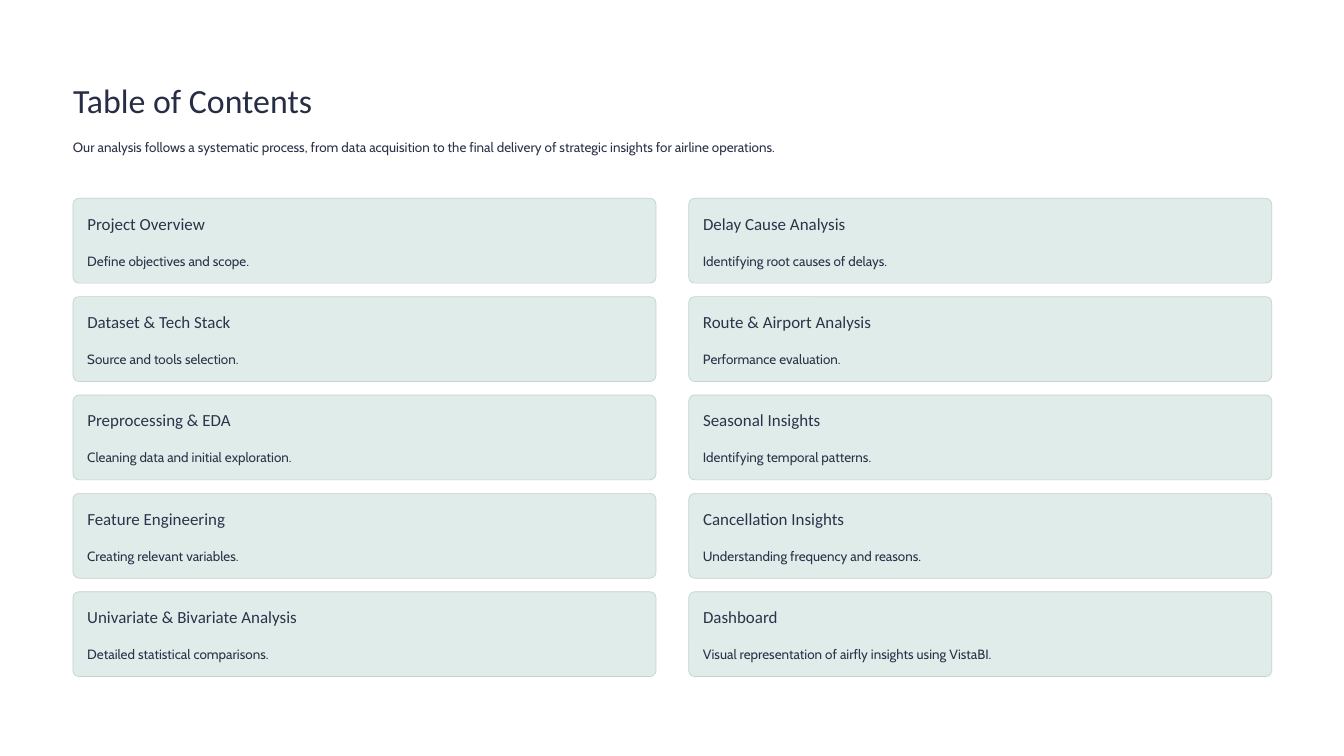
import dataclasses

import pptx
import pptx.dml.color
import pptx.enum.shapes
import pptx.enum.text
import pptx.util

Pt = pptx.util.Pt


@dataclasses.dataclass(frozen=True)
class Theme:
    background: str = "FFFFFF"
    title_ink: str = "272D45"
    ink: str = "2C3249"
    card_fill: str = "DFECE9"
    card_border: str = "C5D2CF"
    heading_font: str = "Calibri"
    body_font: str = "Cabin"
    title_size: float = 29
    heading_size: float = 14.5
    body_size: float = 11.5
    title_leading: float = 36
    heading_leading: float = 18
    body_leading: float = 18.5


LEFT = 62.6
GRID_TOP = 170
CARD_WIDTH, CARD_HEIGHT = 499.7, 72.7
COLUMN_PITCH, ROW_PITCH = 527.8, 84.3
CARD_PADDING = 12.2
DESCRIPTION_OFFSET = 41.9
HEADING_WIDTH = 145.5

# Each column lists heading, description and heading width.
COLUMNS = [
    [
        ("Project Overview", "Define objectives and scope.", HEADING_WIDTH),
        ("Dataset & Tech Stack", "Source and tools selection.", HEADING_WIDTH),
        ("Preprocessing & EDA", "Cleaning data and initial exploration.", HEADING_WIDTH),
        ("Feature Engineering", "Creating relevant variables.", HEADING_WIDTH),
        ("Univariate & Bivariate Analysis", "Detailed statistical comparisons.", 196),
    ],
    [
        ("Delay Cause Analysis", "Identifying root causes of delays.", HEADING_WIDTH),
        ("Route & Airport Analysis", "Performance evaluation.", 155.5),
        ("Seasonal Insights", "Identifying temporal patterns.", HEADING_WIDTH),
        ("Cancellation Insights", "Understanding frequency and reasons.", HEADING_WIDTH),
        ("Dashboard", "Visual representation of airfly insights using VistaBI.", HEADING_WIDTH),
    ],
]


def rgb(value):
    return pptx.dml.color.RGBColor.from_string(value)


def write_text(frame, text, *, font, size, color, leading):
    frame.margin_left = frame.margin_right = frame.margin_top = frame.margin_bottom = 0
    frame.word_wrap = False
    frame.auto_size = pptx.enum.text.MSO_AUTO_SIZE.NONE
    frame.vertical_anchor = pptx.enum.text.MSO_ANCHOR.TOP
    paragraph = frame.paragraphs[0]
    paragraph.alignment = pptx.enum.text.PP_ALIGN.LEFT
    paragraph.line_spacing = Pt(leading)
    paragraph.space_before = Pt(0)
    run = paragraph.add_run()
    run.text = text
    run.font.name = font
    run.font.size = Pt(size)
    run.font.color.rgb = rgb(color)


class ContentsSlide:
    def __init__(self, presentation, theme):
        self.theme = theme
        self.slide = presentation.slides.add_slide(presentation.slide_layouts[5])
        fill = self.slide.background.fill
        fill.solid()
        fill.fore_color.rgb = rgb(theme.background)

    def title(self, text, left, top, width, height):
        title = self.slide.shapes.title
        title.left, title.top = Pt(left), Pt(top)
        title.width, title.height = Pt(width), Pt(height)
        write_text(title.text_frame, text, font=self.theme.heading_font,
                   size=self.theme.title_size, color=self.theme.title_ink,
                   leading=self.theme.title_leading)

    def text_box(self, text, left, top, width, height, **style):
        box = self.slide.shapes.add_textbox(Pt(left), Pt(top), Pt(width), Pt(height))
        write_text(box.text_frame, text, color=self.theme.ink, **style)

    def heading(self, text, left, top, width):
        self.text_box(text, left, top, width, 18, font=self.theme.heading_font,
                      size=self.theme.heading_size, leading=self.theme.heading_leading)

    def body(self, text, left, top, width):
        self.text_box(text, left, top, width, 18.5, font=self.theme.body_font,
                      size=self.theme.body_size, leading=self.theme.body_leading)

    def card(self, heading, description, heading_width, left, top):
        panel = self.slide.shapes.add_shape(
            pptx.enum.shapes.MSO_SHAPE.ROUNDED_RECTANGLE,
            Pt(left), Pt(top), Pt(CARD_WIDTH), Pt(CARD_HEIGHT))
        panel.adjustments[0] = 0.07
        panel.shadow.inherit = False
        panel.fill.solid()
        panel.fill.fore_color.rgb = rgb(self.theme.card_fill)
        panel.line.color.rgb = rgb(self.theme.card_border)
        panel.line.width = Pt(0.6)
        text_left = left + CARD_PADDING
        self.heading(heading, text_left, top + CARD_PADDING, heading_width)
        self.body(description, text_left, top + DESCRIPTION_OFFSET,
                  CARD_WIDTH - 2 * CARD_PADDING)


def main():
    presentation = pptx.Presentation()
    presentation.slide_width, presentation.slide_height = Pt(1152), Pt(648)
    contents = ContentsSlide(presentation, Theme())
    contents.title("Table of Contents", LEFT, 67, 290, 36)
    contents.body("Our analysis follows a systematic process, from data acquisition to the "
                  "final delivery of strategic insights for airline operations.",
                  LEFT, 114.5, 869)
    for column, entries in enumerate(COLUMNS):
        for row, entry in enumerate(entries):
            contents.card(*entry, left=LEFT + column * COLUMN_PITCH,
                          top=GRID_TOP + row * ROW_PITCH)
    presentation.save("out.pptx")


if __name__ == "__main__":
    main()
